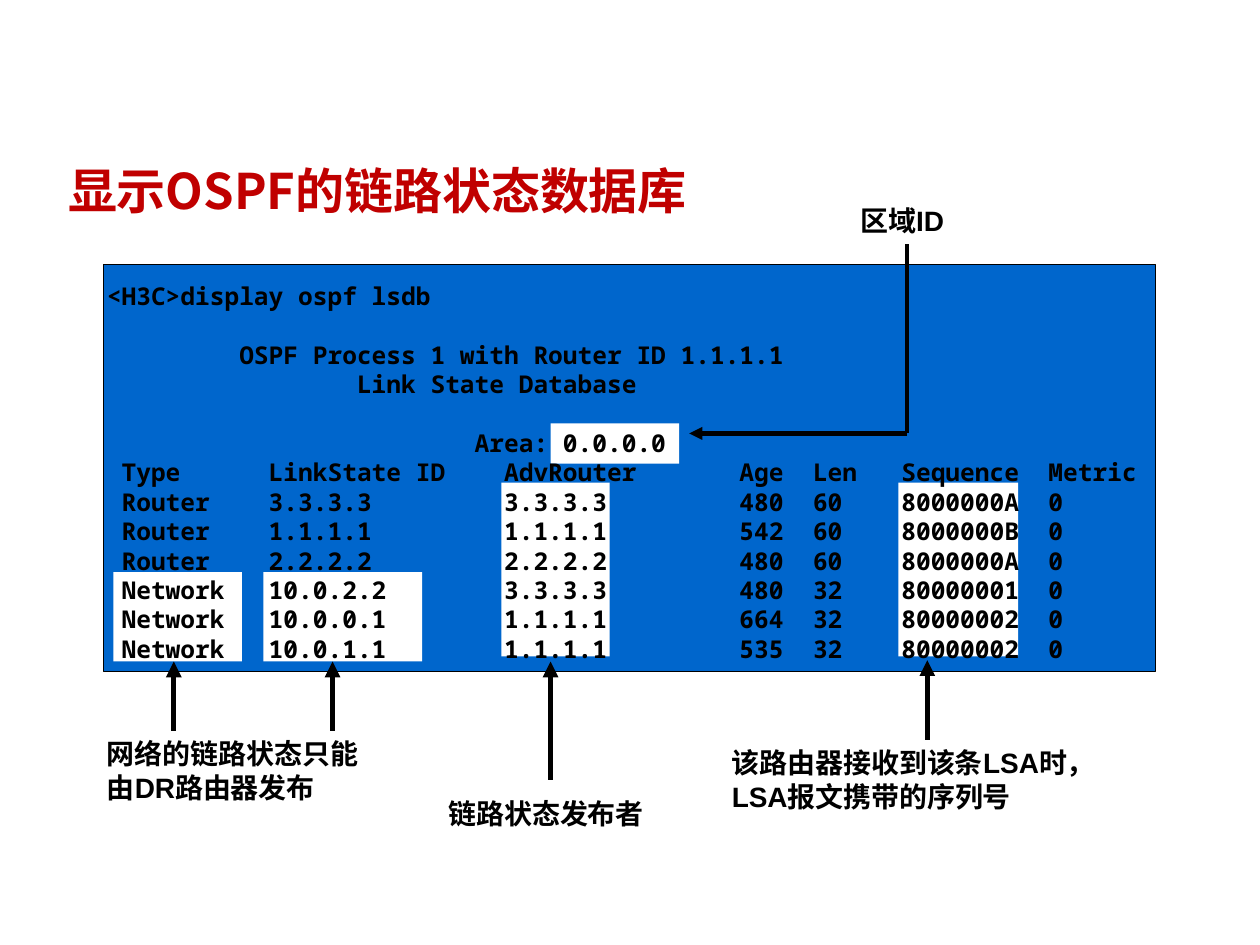
from dataclasses import dataclass

from lxml import etree
from pptx import Presentation
from pptx import util as u
from pptx.dml.color import RGBColor
from pptx.enum import lang, shapes, text
from pptx.oxml import ns


@dataclass(frozen=True)
class Theme:
    title: RGBColor = RGBColor(0xC0, 0x00, 0x00)
    ink: RGBColor = RGBColor(0x00, 0x00, 0x00)
    console: RGBColor = RGBColor(0x00, 0x66, 0xCC)
    highlight: RGBColor = RGBColor(0xFF, 0xFF, 0xFF)
    chinese: str = "Noto Sans CJK JP"
    latin: str = "Arial"
    mono: str = "Noto Sans Mono"
    title_size: int = 28
    label_size: int = 16
    code_size: int = 14
    code_line: float = 16.8


@dataclass(frozen=True)
class Area:
    left: float
    top: float
    width: float
    height: float

    def lengths(self) -> list:
        return [u.Inches(n) for n in (self.left, self.top, self.width, self.height)]


@dataclass(frozen=True)
class Line:
    start: tuple[float, float]
    end: tuple[float, float]
    width: float = 3
    arrow: bool = True


@dataclass(frozen=True)
class Label:
    area: Area
    lines: tuple[str, ...]
    centred: bool = False
    anchor: text.MSO_ANCHOR = text.MSO_ANCHOR.TOP


THEME = Theme()
CONSOLE = Area(0.82, 2.1, 8.35, 3.23)
HIGHLIGHTS = (
    Area(4.37, 3.36, 1.02, 0.32),
    Area(0.9, 4.54, 1.02, 0.71),
    Area(2.09, 4.54, 1.26, 0.71),
    Area(3.98, 3.83, 0.86, 1.38),
    Area(7.13, 3.83, 0.95, 1.38),
)
LINES = (
    Line((1.38, 5.8), (1.38, 5.25)),
    Line((2.64, 5.8), (2.64, 5.25)),
    Line((4.37, 6.19), (4.37, 5.25)),
    Line((7.36, 5.87), (7.36, 5.24)),
    Line((7.2, 1.94), (7.2, 3.44), width=2.5, arrow=False),
    Line((7.2, 3.44), (5.47, 3.44), width=2.5),
)
LABELS = (
    Label(Area(6.57, 1.55, 1.18, 0.39), ("区域ID",), True, text.MSO_ANCHOR.MIDDLE),
    Label(Area(3.43, 6.32, 1.81, 0.47), ("链路状态发布者",), True),
    Label(Area(0.75, 5.8, 2.52, 0.64), ("网络的链路状态只能", "由DR路由器发布")),
    Label(Area(5.71, 5.87, 3.15, 0.64), ("该路由器接收到该条LSA时，", "LSA报文携带的序列号")),
)
CODE_AREA = Area(0.75, 2.18, 8.51, 3.16)
COLUMN_WIDTHS = (10, 16, 16, 5, 6, 10, 0)
DATABASE = (
    ("Type", "LinkState ID", "AdvRouter", "Age", "Len", "Sequence", "Metric"),
    ("Router", "3.3.3.3", "3.3.3.3", "480", "60", "8000000A", "0"),
    ("Router", "1.1.1.1", "1.1.1.1", "542", "60", "8000000B", "0"),
    ("Router", "2.2.2.2", "2.2.2.2", "480", "60", "8000000A", "0"),
    ("Network", "10.0.2.2", "3.3.3.3", "480", "32", "80000001", "0"),
    ("Network", "10.0.0.1", "1.1.1.1", "664", "32", "80000002", "0"),
    ("Network", "10.0.1.1", "1.1.1.1", "535", "32", "80000002", "0"),
)


def console_row(cells: tuple[str, ...]) -> str:
    return " " + "".join(cell.ljust(width) for cell, width in zip(cells, COLUMN_WIDTHS))


def write(para, words: str, *, size: float, color: RGBColor, latin: str,
          align=text.PP_ALIGN.LEFT, before: float = 0) -> None:
    """Add one bold run, with the Chinese font for East Asian letters."""
    para.alignment = align
    para.space_before = u.Pt(before)
    span = para.add_run()
    span.text = words
    span.font.size = u.Pt(size)
    span.font.bold = True
    span.font.color.rgb = color
    span.font.name = latin
    span.font.language_id = lang.MSO_LANGUAGE_ID.SIMPLIFIED_CHINESE
    latin_font = span.font._element.find(ns.qn("a:latin"))
    latin_font.addnext(etree.Element(ns.qn("a:ea"), typeface=THEME.chinese))


def add_box(page, area: Area):
    box = page.shapes.add_textbox(*area.lengths())
    box.text_frame.word_wrap = True
    return box.text_frame


def next_para(frame, index: int):
    return frame.add_paragraph() if index else frame.paragraphs[0]


def add_title(page, words: str) -> None:
    title = page.shapes.title
    title.left, title.top, title.width, title.height = Area(0.44, 1.15, 8.61, 0.71).lengths()
    title.text_frame.vertical_anchor = text.MSO_ANCHOR.MIDDLE
    write(title.text_frame.paragraphs[0], words, size=THEME.title_size,
          color=THEME.title, latin=THEME.chinese)


def add_rectangle(page, area: Area, fill: RGBColor, outlined: bool = False) -> None:
    box = page.shapes.add_shape(shapes.MSO_SHAPE.RECTANGLE, *area.lengths())
    box.shadow.inherit = False
    box.fill.solid()
    box.fill.fore_color.rgb = fill
    if outlined:
        box.line.color.rgb = THEME.ink
        box.line.width = u.Pt(0.75)
    else:
        box.line.fill.background()


def add_line(page, line: Line) -> None:
    points = [u.Inches(n) for n in (*line.start, *line.end)]
    connector = page.shapes.add_connector(shapes.MSO_CONNECTOR.STRAIGHT, *points)
    connector.line.color.rgb = THEME.ink
    connector.line.width = u.Pt(line.width)
    if line.arrow:
        etree.SubElement(connector.line._get_or_add_ln(), ns.qn("a:tailEnd"), type="triangle")
    etree.SubElement(connector._element.spPr, ns.qn("a:effectLst"))


def add_label(page, label: Label) -> None:
    frame = add_box(page, label.area)
    frame.vertical_anchor = label.anchor
    if label.centred:
        frame.word_wrap = False
        frame.margin_top = frame.margin_bottom = 0
    align = text.PP_ALIGN.CENTER if label.centred else text.PP_ALIGN.LEFT
    for index, words in enumerate(label.lines):
        write(next_para(frame, index), words, size=THEME.label_size,
              color=THEME.ink, latin=THEME.latin, align=align)


def add_code(page) -> None:
    gap = THEME.code_line
    output = [
        ("<H3C>display ospf lsdb", 0),
        ("         OSPF Process 1 with Router ID 1.1.1.1", gap),
        ("                 Link State Database", 0),
        ("                         Area: 0.0.0.0", gap),
        *((console_row(row), 0) for row in DATABASE),
    ]
    frame = add_box(page, CODE_AREA)
    for index, (words, before) in enumerate(output):
        write(next_para(frame, index), words, size=THEME.code_size,
              color=THEME.ink, latin=THEME.mono, before=before)


def main() -> None:
    deck = Presentation()
    deck.slide_width, deck.slide_height = u.Inches(10), u.Inches(7.5)
    page = deck.slides.add_slide(deck.slide_layouts.get_by_name("Title Only"))
    add_title(page, "显示OSPF的链路状态数据库")
    add_rectangle(page, CONSOLE, THEME.console, outlined=True)
    for area in HIGHLIGHTS:
        add_rectangle(page, area, THEME.highlight)
    for line in LINES:
        add_line(page, line)
    for label in LABELS:
        add_label(page, label)
    add_code(page)
    deck.save("out.pptx")


if __name__ == "__main__":
    main()
